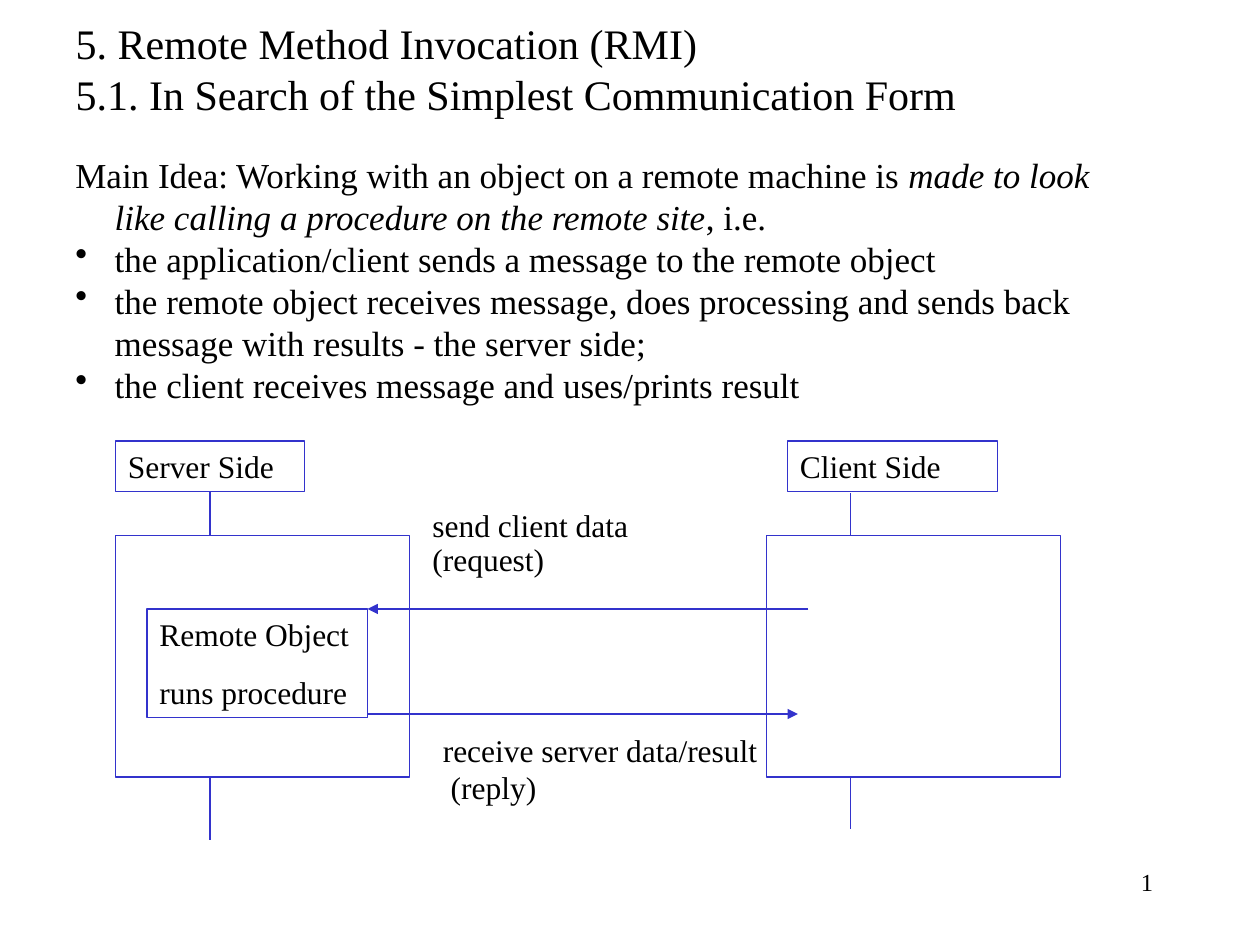
from dataclasses import dataclass

from lxml import etree
from pptx import Presentation
from pptx.dml.color import RGBColor
from pptx.enum.shapes import MSO_CONNECTOR, MSO_SHAPE
from pptx.enum.text import MSO_ANCHOR, MSO_AUTO_SIZE, PP_ALIGN
from pptx.oxml.ns import qn
from pptx.util import Pt

BLACK = RGBColor(0x00, 0x00, 0x00)
WHITE = RGBColor(0xFF, 0xFF, 0xFF)
BLUE = RGBColor(0x33, 0x33, 0xCC)
FONT = "Times New Roman"
RECT = MSO_SHAPE.RECTANGLE
STRAIGHT = MSO_CONNECTOR.STRAIGHT
LEFT, RIGHT = PP_ALIGN.LEFT, PP_ALIGN.RIGHT
TOP, MIDDLE = MSO_ANCHOR.TOP, MSO_ANCHOR.MIDDLE
FIT_TEXT = MSO_AUTO_SIZE.SHAPE_TO_FIT_TEXT
BOTTOM_SIDE = 2
INDENT = 22.5

HEADER_TOP, HEADER_HEIGHT = 252, 29
FRAME_TOP, FRAME_WIDTH, FRAME_HEIGHT = 306, 168, 138
LIFELINE_TOP = 282


@dataclass
class Box:
    left: float
    top: float
    width: float
    height: float
    lines: tuple[str, ...] = ()


@dataclass
class Line:
    x1: float
    y1: float
    x2: float
    y2: float
    arrow: bool = False


@dataclass
class Side:
    header: Box
    lifeline: Line
    frame_left: float


SIDES = (
    Side(Box(66, HEADER_TOP, 108, HEADER_HEIGHT, ("Server Side",)),
         Line(120, LIFELINE_TOP, 120, 480), 66),
    Side(Box(450, HEADER_TOP, 120, HEADER_HEIGHT, ("Client Side",)),
         Line(486, LIFELINE_TOP, 486, 474), 438),
)
REMOTE_OBJECT = Box(84, 348, 126, 62, ("Remote Object", "runs procedure"))
REQUEST_LABEL = Box(240, 288, 168, 46, ("send client data", "(request)"))
REPLY_LABEL = Box(246, 414, 216, 50, ("receive server data/result", " (reply)"))
MESSAGES = (Line(462, 348, 210, 348, True), Line(210, 408, 456, 408, True))

IDEA = (
    ("Main Idea: Working with an object on a remote machine is ", False),
    ("made to look like calling a procedure on the remote site", True),
    (", i.e.", False),
)
STEPS = (
    "the application/client sends a message to the remote object",
    "the remote object receives message, does processing and sends back "
    "message with results - the server side;",
    "the client receives message and uses/prints result",
)


def apply(target, formats: dict) -> None:
    for name, value in formats.items():
        setattr(target, name, value)


def add_run(p, text: str, size: float, italic: bool = False) -> None:
    r = p.add_run()
    r.text = text
    apply(r.font, {"name": FONT, "size": Pt(size), "italic": italic})
    r.font.color.rgb = BLACK


def place(sp, box: Box) -> None:
    apply(sp, {"left": Pt(box.left), "top": Pt(box.top),
               "width": Pt(box.width), "height": Pt(box.height)})


def write_lines(tf, lines: tuple[str, ...], size: float, **formats) -> None:
    for i, text in enumerate(lines):
        p = tf.add_paragraph() if i else tf.paragraphs[0]
        apply(p, {"alignment": LEFT, **formats})
        add_run(p, text, size)


def add_label(s, box: Box, size: float = 18, **formats):
    sp = s.shapes.add_textbox(Pt(0), Pt(0), Pt(1), Pt(1))
    place(sp, box)
    sp.text_frame.word_wrap = True
    write_lines(sp.text_frame, box.lines, size, **formats)
    return sp


def add_box(s, box: Box):
    sp = s.shapes.add_shape(RECT, Pt(box.left), Pt(box.top),
                            Pt(box.width), Pt(box.height))
    sp.shadow.inherit = False
    sp.fill.solid()
    sp.fill.fore_color.rgb = WHITE
    sp.line.color.rgb = BLUE
    sp.line.width = Pt(0.75)
    apply(sp.text_frame, {"word_wrap": True, "vertical_anchor": TOP})
    write_lines(sp.text_frame, box.lines, 18, space_before=Pt(11.2))
    return sp


def add_line(s, line: Line):
    sp = s.shapes.add_connector(STRAIGHT, Pt(line.x1), Pt(line.y1),
                                Pt(line.x2), Pt(line.y2))
    sp.line.color.rgb = BLUE
    sp.line.width = Pt(0.75)
    if line.arrow:
        etree.SubElement(sp.line._get_or_add_ln(), qn("a:tailEnd"), type="triangle")
    etree.SubElement(sp._element.spPr, qn("a:effectLst"))
    return sp


def add_side(s, side: Side) -> None:
    """Draw a header, its lifeline, and the frame that covers the lifeline."""
    header = add_box(s, side.header)
    lifeline = add_line(s, side.lifeline)
    if side.header.left + side.header.width / 2 == side.lifeline.x1:
        lifeline.begin_connect(header, BOTTOM_SIDE)
    add_box(s, Box(side.frame_left, FRAME_TOP, FRAME_WIDTH, FRAME_HEIGHT))


def add_title(s) -> None:
    title = s.shapes.title
    place(title, Box(36, 0, 612, 78))
    title.text_frame.vertical_anchor = MIDDLE
    p = title.text_frame.paragraphs[0]
    p.alignment = LEFT
    add_run(p, "5. Remote Method Invocation (RMI)", 24)
    p.add_line_break()
    add_run(p, "5.1. In Search of the Simplest Communication Form", 24)


def add_body(s) -> None:
    tf = add_label(s, Box(36, 84, 618, 151)).text_frame
    tf.auto_size = FIT_TEXT
    for text, italic in IDEA:
        add_run(tf.paragraphs[0], text, 20, italic)
    for text in STEPS:
        add_run(tf.add_paragraph(), text, 20)
    for i, p in enumerate(tf.paragraphs):
        pPr = p._p.get_or_add_pPr()
        pPr.set("marL", str(Pt(INDENT)))
        pPr.set("indent", str(-Pt(INDENT)))
        if i:
            etree.SubElement(pPr, qn("a:buChar"), char="•")


def main() -> None:
    prs = Presentation()
    apply(prs, {"slide_width": Pt(720), "slide_height": Pt(540)})
    s = prs.slides.add_slide(prs.slide_layouts[5])
    add_title(s)
    add_body(s)
    for side in SIDES:
        add_side(s, side)
    add_box(s, REMOTE_OBJECT)
    add_label(s, REQUEST_LABEL, line_spacing=0.9)
    add_label(s, REPLY_LABEL)
    for message in MESSAGES:
        add_line(s, message)
    add_label(s, Box(516, 492, 150, 36, ("1",)), 14, alignment=RIGHT)
    prs.save("out.pptx")


if __name__ == "__main__":
    main()
